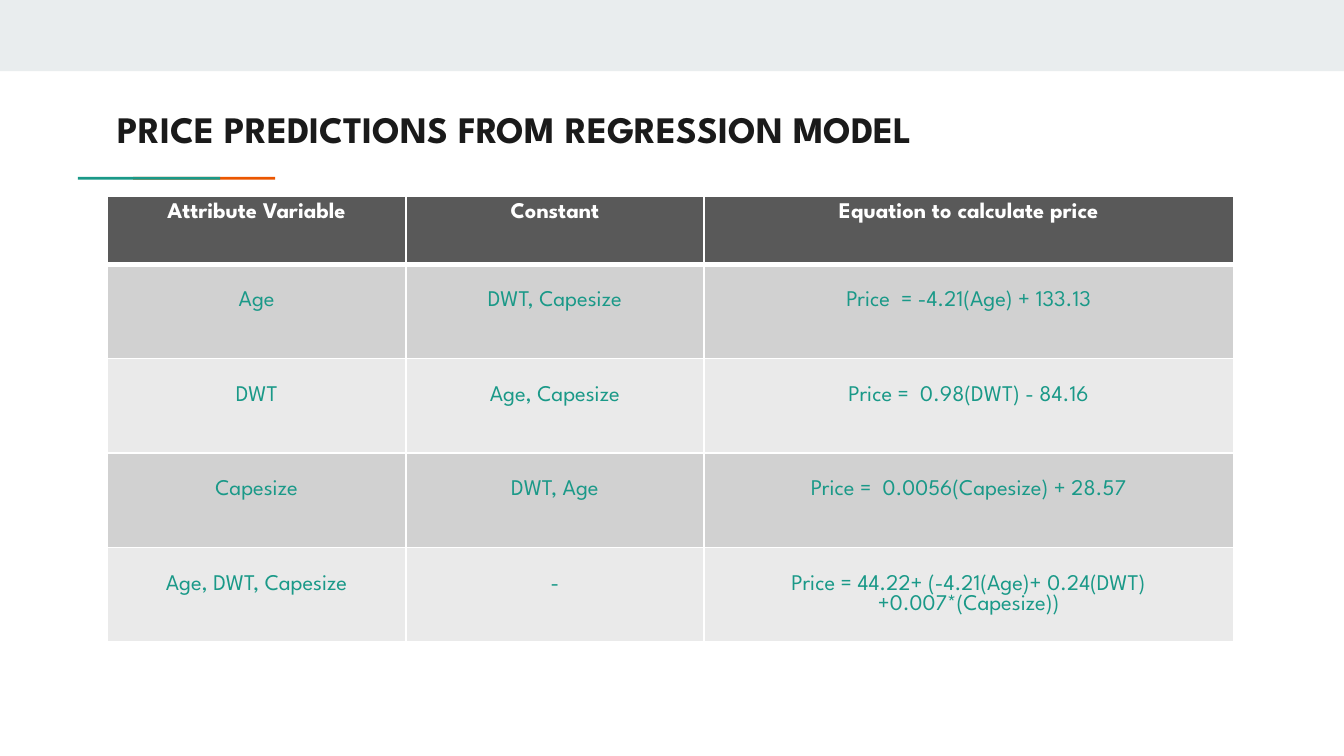
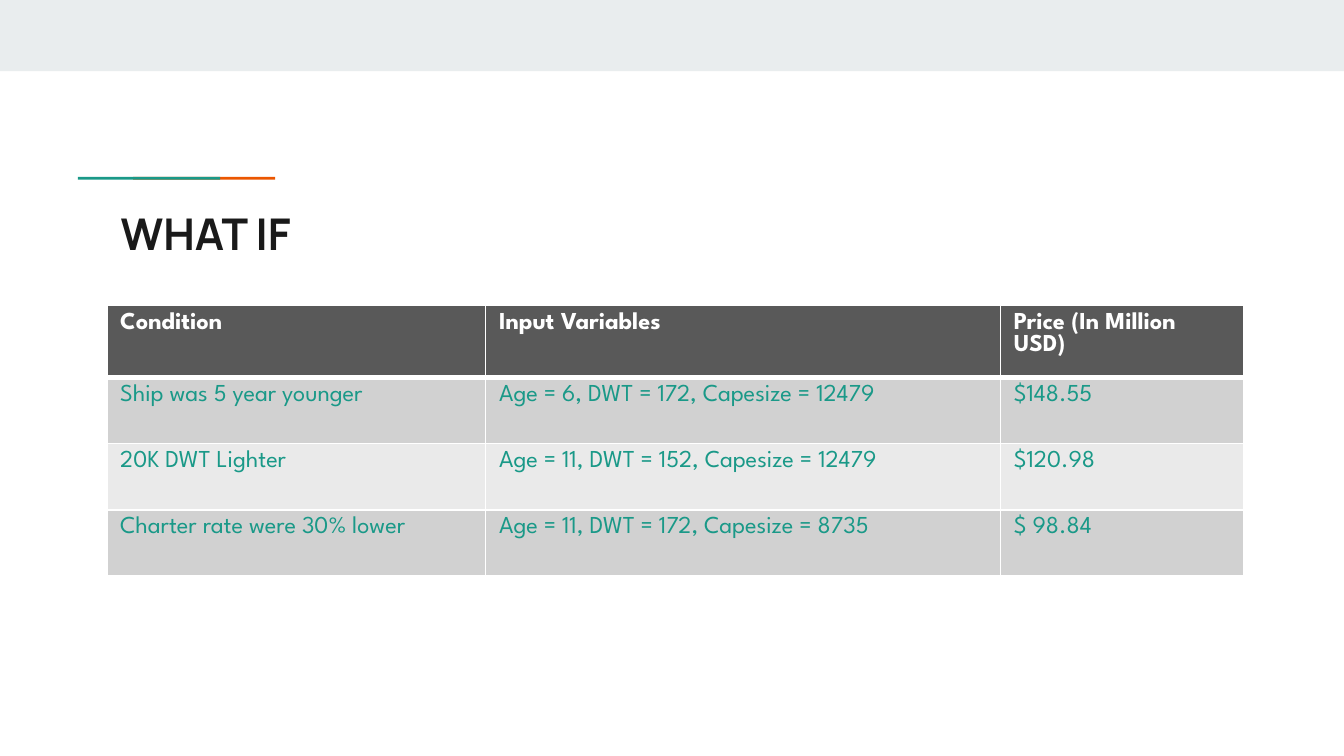
import dataclasses

import pptx
import pptx.dml.color
import pptx.enum.shapes
import pptx.enum.text
import pptx.oxml
import pptx.oxml.ns
import pptx.slide
import pptx.table
import pptx.text.text
import pptx.util

Pt = pptx.util.Pt
PP_ALIGN = pptx.enum.text.PP_ALIGN


@dataclasses.dataclass(frozen=True)
class Theme:
    band: str = "E9EDEE"
    orange: str = "EB5600"
    teal: str = "1A9988"
    ink: str = "1A1A1A"
    white: str = "FFFFFF"
    header: str = "595959"
    stripes: tuple[str, str] = ("D1D1D1", "EAEAEA")
    body_font: str = "League Spartan"
    display_font: str = "Manrope"
    title_size: float = 20
    display_size: float = 23.4
    centred_table_size: float = 12
    left_table_size: float = 13
    rule: float = 1
    header_rule: float = 3


THEME = Theme()


@dataclasses.dataclass(frozen=True)
class Bar:
    left: float
    top: float
    width: float
    height: float
    color: str


@dataclasses.dataclass(frozen=True)
class Title:
    text: str
    left: float
    top: float
    font: str
    size: float


@dataclasses.dataclass(frozen=True)
class Grid:
    left: float
    top: float
    columns: tuple[float, ...]
    header_height: float
    row_height: float
    size: float
    align: PP_ALIGN
    body_margin_top: float
    rows: tuple[tuple[str, ...], ...]


SLIDE_WIDTH, SLIDE_HEIGHT = 720, 405
CELL_MARGIN = 3.6
BARS = (
    Bar(0, 0, SLIDE_WIDTH, 38.2, THEME.band),
    Bar(71.3, 94.7, 76.2, 1.5, THEME.orange),
    Bar(41.8, 94.7, 76.2, 1.5, THEME.teal),
)

PAGES = (
    (
        Title("PRICE PREDICTIONS FROM REGRESSION MODEL", 56, 47.5,
              THEME.body_font, THEME.title_size),
        Grid(
            57.6, 105, (159.8, 159.8, 283.6), 36.5, 50.6,
            THEME.centred_table_size, PP_ALIGN.CENTER, CELL_MARGIN + 11,
            (
                ("Attribute Variable", "Constant", "Equation to calculate price"),
                ("Age", "DWT, Capesize", "Price  = -4.21(Age) + 133.13"),
                ("DWT", "Age, Capesize", "Price =  0.98(DWT) - 84.16"),
                ("Capesize", "DWT, Age", "Price =  0.0056(Capesize) + 28.57"),
                ("Age, DWT, Capesize", "-",
                 "Price = 44.22+ (-4.21(Age)+ 0.24(DWT)+0.007*(Capesize))"),
            ),
        ),
    ),
    (
        Title("WHAT IF", 57.6, 103.7, THEME.display_font, THEME.display_size),
        Grid(
            57.2, 163.7, (203, 275.8, 130.3), 35.5, 35.5,
            THEME.left_table_size, PP_ALIGN.LEFT, CELL_MARGIN,
            (
                ("Condition", "Input Variables", "Price (In Million USD)"),
                ("Ship was 5 year younger", "Age = 6, DWT = 172, Capesize = 12479", "$148.55"),
                ("20K DWT Lighter", "Age = 11, DWT = 152, Capesize = 12479", "$120.98"),
                ("Charter rate were 30% lower", "Age = 11, DWT = 172, Capesize = 8735", "$ 98.84"),
            ),
        ),
    ),
)


def rgb(color: str) -> pptx.dml.color.RGBColor:
    return pptx.dml.color.RGBColor.from_string(color)


def write_text(frame: pptx.text.text.TextFrame, text: str, *, size: float, color: str,
               font: str = THEME.body_font, bold: bool = False,
               align: PP_ALIGN = PP_ALIGN.LEFT) -> None:
    frame.word_wrap = True
    para = frame.paragraphs[0]
    para.alignment = align
    span = para.add_run()
    span.text = text
    span.font.name = font
    span.font.size = Pt(size)
    span.font.bold = bold
    span.font.color.rgb = rgb(color)


def draw_bar(page: pptx.slide.Slide, bar: Bar) -> None:
    shape = page.shapes.add_shape(
        pptx.enum.shapes.MSO_SHAPE.RECTANGLE,
        Pt(bar.left), Pt(bar.top), Pt(bar.width), Pt(bar.height))
    shape.shadow.inherit = False
    shape.fill.solid()
    shape.fill.fore_color.rgb = rgb(bar.color)
    shape.line.fill.background()


def draw_title(page: pptx.slide.Slide, title: Title) -> None:
    box = page.shapes.add_textbox(Pt(title.left), Pt(title.top), Pt(605.5), Pt(42.5))
    frame = box.text_frame
    frame.margin_left = frame.margin_right = Pt(7.2)
    frame.margin_top = frame.margin_bottom = Pt(7.2)
    frame.vertical_anchor = pptx.enum.text.MSO_ANCHOR.MIDDLE
    write_text(frame, title.text, size=title.size, color=THEME.ink,
               font=title.font, bold=True)


def set_borders(cell: pptx.table._Cell, top: float, bottom: float) -> None:
    """Rule all four sides in white; call before the fill is set."""
    properties = cell._tc.get_or_add_tcPr()
    widths = {"lnL": THEME.rule, "lnR": THEME.rule, "lnT": top, "lnB": bottom}
    for tag, width in widths.items():
        properties.append(pptx.oxml.parse_xml(
            f'<a:{tag} {pptx.oxml.ns.nsdecls("a")} w="{Pt(width)}">'
            f'<a:solidFill><a:srgbClr val="{THEME.white}"/></a:solidFill></a:{tag}>'))


def draw_grid(page: pptx.slide.Slide, grid: Grid) -> None:
    heights = [grid.header_height] + [grid.row_height] * (len(grid.rows) - 1)
    table = page.shapes.add_table(
        len(grid.rows), len(grid.columns), Pt(grid.left), Pt(grid.top),
        Pt(sum(grid.columns)), Pt(sum(heights))).table
    for column, width in zip(table.columns, grid.columns):
        column.width = Pt(width)
    for index, (row, height, texts) in enumerate(zip(table.rows, heights, grid.rows)):
        row.height = Pt(height)
        is_header = index == 0
        for cell, text in zip(row.cells, texts):
            set_borders(cell,
                        top=THEME.header_rule if index == 1 else THEME.rule,
                        bottom=THEME.header_rule if is_header else THEME.rule)
            cell.fill.solid()
            cell.fill.fore_color.rgb = rgb(
                THEME.header if is_header else THEME.stripes[(index - 1) % 2])
            cell.margin_top = Pt(CELL_MARGIN if is_header else grid.body_margin_top)
            write_text(cell.text_frame, text, size=grid.size, bold=is_header,
                       color=THEME.white if is_header else THEME.teal, align=grid.align)


def main() -> None:
    deck = pptx.Presentation()
    deck.slide_width, deck.slide_height = Pt(SLIDE_WIDTH), Pt(SLIDE_HEIGHT)
    for title, grid in PAGES:
        page = deck.slides.add_slide(deck.slide_layouts[6])
        for bar in BARS:
            draw_bar(page, bar)
        draw_title(page, title)
        draw_grid(page, grid)
    deck.save("out.pptx")


if __name__ == "__main__":
    main()
